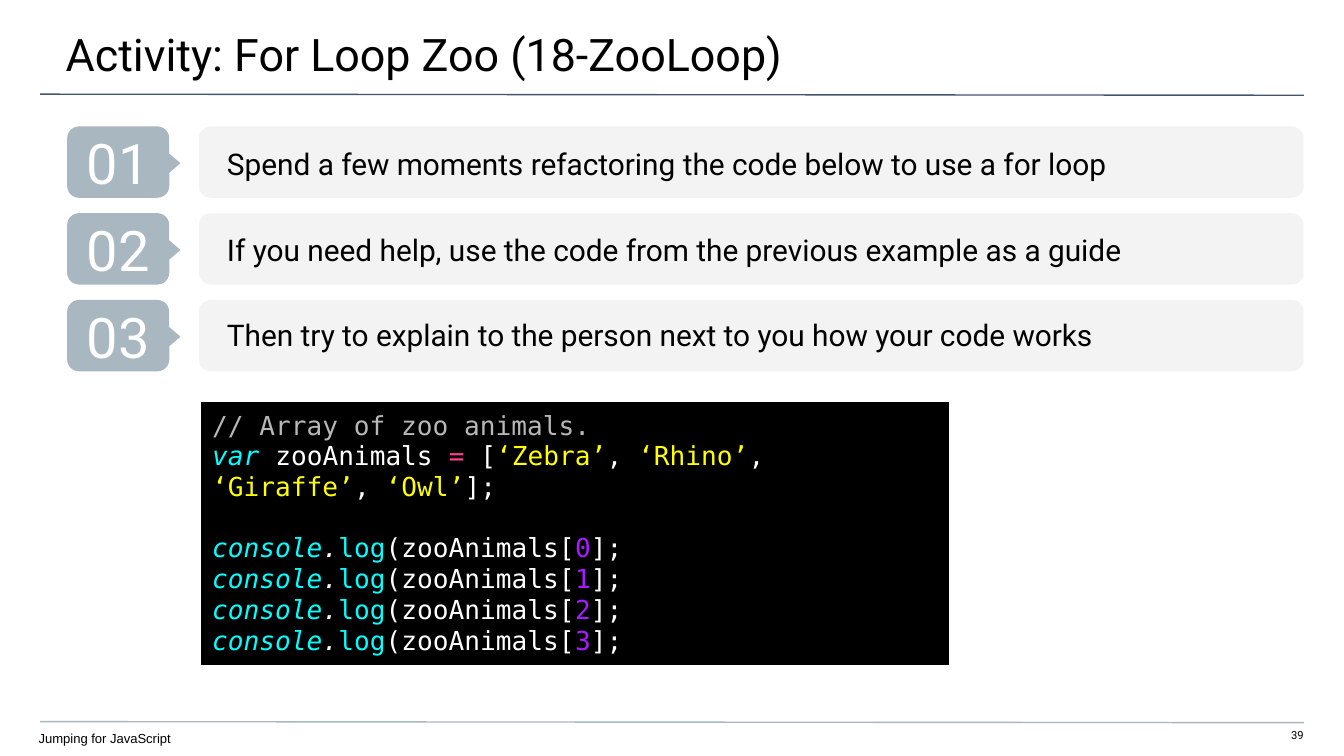
"""Build the "For Loop Zoo" activity slide."""
from dataclasses import dataclass

from lxml import etree
from pptx import Presentation
from pptx.dml.color import RGBColor
from pptx.enum.shapes import MSO_CONNECTOR, MSO_SHAPE
from pptx.enum.text import MSO_ANCHOR, MSO_AUTO_SIZE, PP_ALIGN
from pptx.oxml.ns import qn
from pptx.shapes.autoshape import Shape
from pptx.shapes.placeholder import SlidePlaceholder
from pptx.slide import Slide
from pptx.table import _Cell
from pptx.text.text import TextFrame, _Paragraph
from pptx.util import Cm, Pt

STRAIGHT = MSO_CONNECTOR.STRAIGHT
ROUNDED = MSO_SHAPE.ROUNDED_RECTANGLE
EXTRACT = MSO_SHAPE.FLOWCHART_EXTRACT
TOP, MIDDLE = MSO_ANCHOR.TOP, MSO_ANCHOR.MIDDLE
NO_AUTOFIT = MSO_AUTO_SIZE.NONE
LEFT, CENTER, RIGHT = PP_ALIGN.LEFT, PP_ALIGN.CENTER, PP_ALIGN.RIGHT

COLORS = {
    "black": "000000",
    "white": "FFFFFF",
    "navy": "44546A",
    "steel": "A9B7C0",
    "panel": "F3F3F3",
    "comment": "B7B7B7",
    "keyword": "00FFFF",
    "operator": "FF408F",
    "string": "FFFF00",
    "number": "A71BFF",
}
BODY_FONT, FOOTER_FONT, CODE_FONT = "Roboto", "Arial", "DejaVu Sans Mono"
STEP_PITCH, CODE_LINE = 1.64, 16.5


@dataclass(frozen=True)
class Box:
    """A frame in centimetres."""
    left: float
    top: float
    width: float
    height: float

    def lengths(self) -> tuple[Cm, Cm, Cm, Cm]:
        return Cm(self.left), Cm(self.top), Cm(self.width), Cm(self.height)


@dataclass(frozen=True)
class Token:
    """A coloured piece of code."""
    text: str
    color: str = "white"
    italic: bool = False


@dataclass(frozen=True)
class Step:
    """A numbered instruction and the placeholder that holds it."""
    placeholder: int
    text: str


STEPS = (
    Step(1, "Spend a few moments refactoring the code below to use a for loop"),
    Step(2, "If you need help, use the code from the previous example as a guide"),
    Step(3, "Then try to explain to the person next to you how your code works"),
)
ARRAY_LINE = (
    Token("var ", "keyword", True), Token("zooAnimals "), Token("=", "operator"),
    Token(" ["), Token("‘Zebra’", "string"), Token(", "),
    Token("‘Rhino’", "string"), Token(", "), Token("\n"),
    Token("‘Giraffe’", "string"), Token(", "), Token("‘Owl’", "string"), Token("];"),
)


def log_line(index: int) -> tuple[Token, ...]:
    return (
        Token("console", "keyword", True), Token(".", italic=True),
        Token("log", "keyword"), Token("(zooAnimals["),
        Token(str(index), "number"), Token("];"),
    )


def rgb(color: str) -> RGBColor:
    return RGBColor.from_string(COLORS[color])


def write(paragraph: _Paragraph, text: str, *, size: float, color: str = "black",
          font: str = BODY_FONT, italic: bool = False, align: PP_ALIGN = LEFT) -> None:
    paragraph.alignment = align
    run = paragraph.add_run()
    run.text = text
    run.font.name = font
    run.font.size = Pt(size)
    run.font.bold = False
    run.font.italic = italic
    run.font.color.rgb = rgb(color)


def set_frame(frame: TextFrame, margins: tuple[float, float, float, float],
              anchor: MSO_ANCHOR = TOP) -> None:
    frame.word_wrap = True
    frame.auto_size = NO_AUTOFIT
    frame.vertical_anchor = anchor
    (frame.margin_left, frame.margin_top,
     frame.margin_right, frame.margin_bottom) = map(Cm, margins)


def fill_placeholder(slide: Slide, placeholder: SlidePlaceholder, box: Box, text: str,
                     margins: tuple[float, float, float, float], size: float,
                     font: str = BODY_FONT, anchor: MSO_ANCHOR = TOP) -> None:
    (placeholder.left, placeholder.top,
     placeholder.width, placeholder.height) = box.lengths()
    set_frame(placeholder.text_frame, margins, anchor)
    paragraph = placeholder.text_frame.paragraphs[0]
    properties = paragraph._p.get_or_add_pPr()
    properties.set("marL", "0")
    properties.set("indent", "0")
    etree.SubElement(properties, qn("a:buNone"))
    paragraph.space_before = Pt(0)
    write(paragraph, text, size=size, font=font)
    slide.shapes.element.append(placeholder.element)


def add_rule(slide: Slide, top: float, color: str) -> None:
    rule = slide.shapes.add_connector(STRAIGHT, Cm(0.76), Cm(top), Cm(24.64), Cm(top + 0.02))
    rule.line.color.rgb = rgb(color)
    rule.line.width = Pt(0.75)
    etree.SubElement(rule._element.spPr, qn("a:effectLst"))


def add_block(shapes, preset: MSO_SHAPE, box: Box, color: str) -> Shape:
    shape = shapes.add_shape(preset, *box.lengths())
    shape.shadow.inherit = False
    shape.fill.solid()
    shape.fill.fore_color.rgb = rgb(color)
    shape.line.fill.background()
    return shape


def add_step(slide: Slide, index: int, step: Step) -> None:
    top = 2.39 + index * STEP_PITCH
    add_block(slide.shapes, ROUNDED, Box(3.76, top, 20.88, 1.35), "panel")
    group = slide.shapes.add_group_shape()
    badge = add_block(group.shapes, ROUNDED, Box(1.27, top, 1.93, 1.35), "steel")
    set_frame(badge.text_frame, (0.25, 0.25, 0.25, 0.25), MIDDLE)
    write(badge.text_frame.paragraphs[0], f"{index + 1:02}", size=30,
          color="white", align=CENTER)
    pointer = add_block(group.shapes, EXTRACT, Box(2.69, top + 0.43, 0.91, 0.53), "steel")
    pointer.rotation = 90
    fill_placeholder(slide, slide.placeholders[step.placeholder],
                     Box(-0.03, 2.47 + index * 1.62, 25.48, 1.24), step.text,
                     (4.32, 0, 1.27, 0), 16, anchor=MIDDLE)


def set_borders(cell: _Cell, color: str, width: float) -> None:
    properties = cell._tc.get_or_add_tcPr()
    for position, side in enumerate(("lnL", "lnR", "lnT", "lnB")):
        line = etree.Element(qn(f"a:{side}"), w=str(Pt(width)))
        fill = etree.SubElement(line, qn("a:solidFill"))
        etree.SubElement(fill, qn("a:srgbClr"), val=COLORS[color])
        properties.insert(position, line)


def add_code(slide: Slide, box: Box) -> None:
    table = slide.shapes.add_table(1, 1, *box.lengths()).table
    table.first_row = table.horz_banding = False
    cell = table.cell(0, 0)
    cell.fill.solid()
    cell.fill.fore_color.rgb = rgb("black")
    set_borders(cell, "white", 2.25)
    cell.vertical_anchor = MIDDLE
    cell.margin_left = cell.margin_right = Cm(0.25)
    cell.margin_top = cell.margin_bottom = Cm(0)
    comment = (Token("// Array of zoo animals.", "comment"),)
    lines = (comment, ARRAY_LINE, *map(log_line, range(4)))
    for number, line in enumerate(lines):
        frame = cell.text_frame
        paragraph = frame.add_paragraph() if number else frame.paragraphs[0]
        if line == log_line(0):
            paragraph.space_before = Pt(CODE_LINE)
        for token in line:
            if token.text == "\n":
                paragraph.add_line_break()
            else:
                write(paragraph, token.text, size=14, color=token.color,
                      font=CODE_FONT, italic=token.italic)


def main() -> None:
    presentation = Presentation()
    presentation.slide_width, presentation.slide_height = Cm(25.4), Cm(14.29)
    slide = presentation.slides.add_slide(presentation.slide_layouts.get_by_name("Comparison"))
    add_rule(slide, 13.64, "steel")
    add_rule(slide, 1.78, "navy")
    number = slide.shapes.add_textbox(*Box(23.9, 13.77, 0.74, 0.3).lengths())
    set_frame(number.text_frame, (0, 0, 0, 0.25))
    write(number.text_frame.paragraphs[0], "39", size=6, align=RIGHT)
    fill_placeholder(slide, slide.shapes.title, Box(-0.03, 0, 25.48, 1.47),
                     "Activity: For Loop Zoo (18-ZooLoop)", (1.27, 0.51, 0.76, 0.25), 24)
    fill_placeholder(slide, slide.placeholders[4], Box(-0.03, 13.67, 22.15, 0.62),
                     "Jumping for JavaScript", (0.76, 0.13, 0, 0), 7, FOOTER_FONT)
    add_code(slide, Box(3.76, 7.57, 14.2, 5.03))
    for index, step in enumerate(STEPS):
        add_step(slide, index, step)
    presentation.save("out.pptx")


if __name__ == "__main__":
    main()
